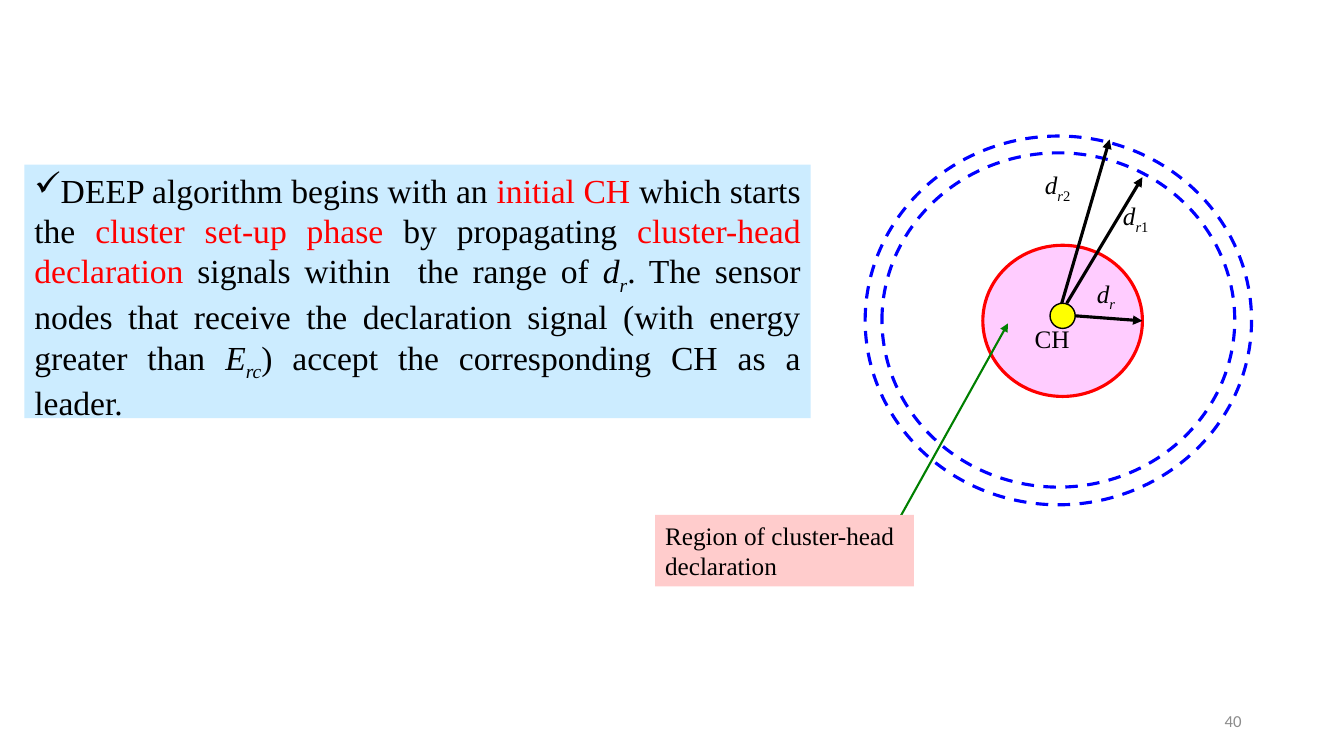
from dataclasses import dataclass

import lxml.etree
import pptx
import pptx.dml.color
import pptx.enum.dml
import pptx.enum.shapes
import pptx.enum.text
import pptx.oxml.ns
import pptx.util

SLIDE_W, SLIDE_H = pptx.util.Inches(13.33), pptx.util.Inches(7.5)
COLS, ROWS = 160, 90
SERIF = "Times New Roman"
BLACK, RED, BLUE, GREEN = "000000", "FF0000", "0000FF", "008000"
ALIGN = pptx.enum.text.PP_ALIGN
SHAPE = pptx.enum.shapes.MSO_SHAPE


@dataclass
class Run:
    text: str
    color: str = BLACK
    italic: bool = False
    sub: bool = False


@dataclass
class Box:
    """A text block; places and sizes are in grid columns and rows."""
    col: float
    row: float
    cols: float
    rows: float
    paragraphs: list[list[Run]]
    fill: str | None = None
    size: int = 18
    font: str = SERIF
    align: ALIGN = ALIGN.LEFT
    bullet: str = ""
    middle: bool = False


@dataclass
class Circle:
    col: float
    row: float
    cols: float
    rows: float
    line: str
    width: float = 2.25
    fill: str | None = None
    dashed: bool = False


@dataclass
class Arrow:
    start: tuple[float, float]
    end: tuple[float, float]
    color: str = BLACK
    width: float = 2.25


def x(col: float) -> int:
    return round(SLIDE_W * col / COLS)


def y(row: float) -> int:
    return round(SLIDE_H * row / ROWS)


def rgb(color: str) -> pptx.dml.color.RGBColor:
    return pptx.dml.color.RGBColor.from_string(color)


def set_fill(s, color: str | None) -> None:
    if color:
        s.fill.solid()
        s.fill.fore_color.rgb = rgb(color)
    else:
        s.fill.background()


def add_element(parent, tag: str, **attributes: str) -> None:
    lxml.etree.SubElement(parent, pptx.oxml.ns.qn(tag), attributes)


def draw_circle(shapes, circle: Circle) -> None:
    s = shapes.add_shape(SHAPE.OVAL, x(circle.col), y(circle.row),
                         x(circle.cols), y(circle.rows))
    s.shadow.inherit = False
    set_fill(s, circle.fill)
    s.line.color.rgb = rgb(circle.line)
    s.line.width = pptx.util.Pt(circle.width)
    if circle.dashed:
        s.line.dash_style = pptx.enum.dml.MSO_LINE.DASH


def draw_arrow(shapes, arrow: Arrow) -> None:
    (c1, r1), (c2, r2) = arrow.start, arrow.end
    s = shapes.add_connector(pptx.enum.shapes.MSO_CONNECTOR.STRAIGHT,
                             x(c1), y(r1), x(c2), y(r2))
    s.line.color.rgb = rgb(arrow.color)
    s.line.width = pptx.util.Pt(arrow.width)
    add_element(s.line._get_or_add_ln(), "a:tailEnd", type="triangle")
    add_element(s._element.spPr, "a:effectLst")


def draw_box(shapes, box: Box) -> None:
    s = shapes.add_textbox(x(box.col), y(box.row), x(box.cols), y(box.rows))
    set_fill(s, box.fill)
    tf = s.text_frame
    tf.word_wrap = True
    if box.middle:
        tf.vertical_anchor = pptx.enum.text.MSO_ANCHOR.MIDDLE
    for i, runs in enumerate(box.paragraphs):
        p = tf.add_paragraph() if i else tf.paragraphs[0]
        p.alignment = box.align
        if box.bullet:
            add_element(p._p.get_or_add_pPr(), "a:buChar", char=box.bullet)
        for run in runs:
            r = p.add_run()
            r.text = run.text
            r.font.name = box.font
            r.font.size = pptx.util.Pt(box.size)
            r.font.color.rgb = rgb(run.color)
            r.font.italic = run.italic
            if run.sub:
                r.font._element.set("baseline", "-25000")


def symbol(letter: str, index: str, number: str = "") -> list[Run]:
    """An italic letter with its subscript, and an upright number after it."""
    runs = [Run(letter, italic=True), Run(index, italic=True, sub=True)]
    return runs + ([Run(number, sub=True)] if number else [])


def label(col: float, row: float, runs: list[Run]) -> Box:
    return Box(col, row, 10, 4.8, [runs])


EXPLANATION = Box(2.9, 19.6, 93.6, 30.2, [[
    Run("DEEP algorithm begins with an "),
    Run("initial CH ", RED),
    Run("which starts the "),
    Run("cluster set-up phase ", RED),
    Run("by propagating "),
    Run("cluster-head declaration ", RED),
    Run("signals within  the range of "),
    *symbol("d", "r"),
    Run(". The sensor nodes that receive the declaration signal "
        "(with energy greater than "),
    *symbol("E", "rc"),
    Run(") accept the corresponding CH as a leader. "),
]], fill="CCECFF", size=24, align=ALIGN.JUSTIFY, bullet="✓")

CIRCLES = [
    Circle(117, 29.2, 19, 18, RED, fill="FFCCFF"),
    Circle(105, 18.2, 42, 39.8, BLUE, dashed=True),
    Circle(103, 16.2, 46, 43.9, BLUE, dashed=True),
    Circle(125, 36.1, 3, 3, BLACK, width=1, fill="FFFF00"),
]

RADII = [
    Arrow((128, 37.6), (136, 38.2)),
    Arrow((127, 36.1), (136, 21.1)),
    Arrow((126.4, 36.1), (132.1, 16.6)),
]

LABELS = [
    label(129.4, 32.5, symbol("d", "r")),
    label(132.5, 23.3, symbol("d", "r", "1")),
    label(123.2, 19.6, symbol("d", "r", "2")),
    label(122, 37.9, [Run("CH")]),
]

REGION_POINTER = Arrow((106.3, 63.1), (120, 38.5), GREEN, 1.5)
REGION = Box(78, 61.3, 30.8, 8.5,
             [[Run("Region of cluster-head")], [Run("declaration")]],
             fill="FFCCCC")
PAGE_NUMBER = Box(113, 83.4, 36, 4.8, [[Run("40", "8C8C8C")]], size=12,
                  font="Calibri", align=ALIGN.RIGHT, middle=True)


def main() -> None:
    prs = pptx.Presentation()
    prs.slide_width, prs.slide_height = SLIDE_W, SLIDE_H
    shapes = prs.slides.add_slide(prs.slide_layouts[6]).shapes
    draw_box(shapes, EXPLANATION)
    for circle in CIRCLES:
        draw_circle(shapes, circle)
    for arrow in RADII:
        draw_arrow(shapes, arrow)
    for box in LABELS:
        draw_box(shapes, box)
    draw_arrow(shapes, REGION_POINTER)
    draw_box(shapes, REGION)
    draw_box(shapes, PAGE_NUMBER)
    prs.save("out.pptx")


if __name__ == "__main__":
    main()
